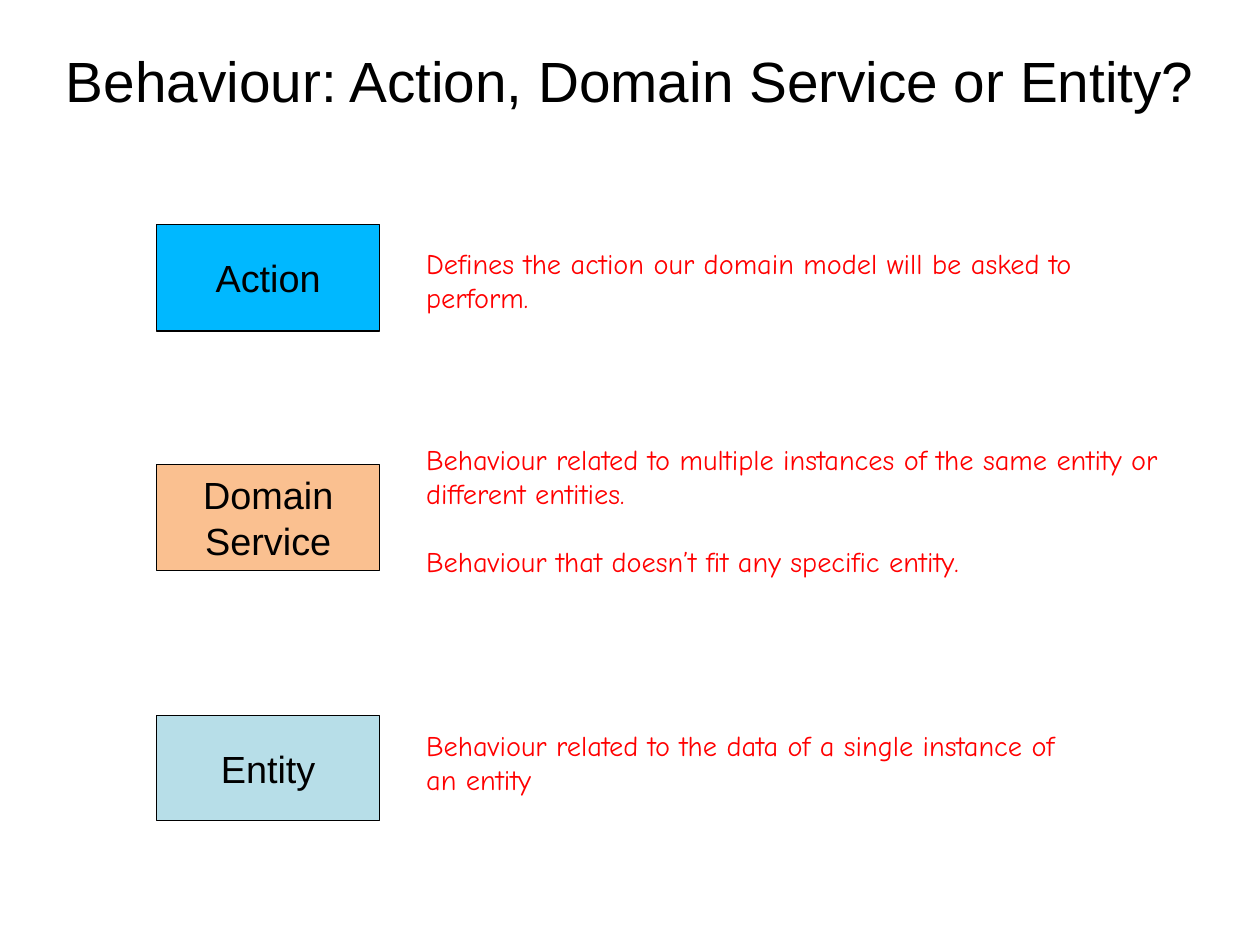
from pptx import Presentation
from pptx.dml.color import RGBColor
from pptx.enum.shapes import MSO_SHAPE
from pptx.enum.text import MSO_ANCHOR, PP_ALIGN
from pptx.util import Inches, Pt

COLOURS = {
    "black": "000000",
    "red": "FF0000",
    "action": "00B8FF",
    "service": "FAC090",
    "entity": "B7DEE8",
}

TITLE_FORMAT = {"name": "Arial", "size": Pt(36)}
CONCEPT_FORMAT = {"name": "Arial", "size": Pt(24)}
NOTE_FORMAT = {"name": "Comic Neue", "size": Pt(18)}

# Slide size in points
SLIDE_WIDTH, SLIDE_HEIGHT = 800, 600.12

CONCEPT_LEFT, CONCEPT_WIDTH = 1.38, 1.97
NOTE_LEFT = 3.66
NOTE_GAP = Pt(21.6)

# Concept, colour, box (top, height), note (top, width, height), paragraphs
CONCEPTS = [
    ("Action", "action", (1.98, 0.94), (2.12, 5.98, 0.71),
     ["Defines the action our domain model will be asked to perform."]),
    ("Domain Service", "service", (4.1, 0.93), (3.85, 6.77, 1.31),
     ["Behaviour related to multiple instances of the same entity or "
      "different entities.",
      "Behaviour that doesn’t fit any specific entity."]),
    ("Entity", "entity", (6.31, 0.93), (6.37, 5.98, 0.71),
     ["Behaviour related to the data of a single instance of an entity"]),
]


def rgb(colour):
    return RGBColor.from_string(COLOURS[colour])


def write(frame, paragraphs, font_format, colour, align, anchor):
    frame.word_wrap = True
    frame.vertical_anchor = anchor
    for index, text in enumerate(paragraphs):
        paragraph = frame.add_paragraph() if index else frame.paragraphs[0]
        paragraph.alignment = align
        if index:
            paragraph.space_before = NOTE_GAP
        run = paragraph.add_run()
        run.text = text
        for attribute, value in font_format.items():
            setattr(run.font, attribute, value)
        run.font.color.rgb = rgb(colour)


def add_title(slide, text):
    title = slide.shapes.add_textbox(
        Inches(0.28), Inches(0.31), Inches(10.55), Inches(0.79))
    write(title.text_frame, [text], TITLE_FORMAT, "black",
          PP_ALIGN.CENTER, MSO_ANCHOR.MIDDLE)


def add_concept(slide, name, colour, extent):
    top, height = extent
    concept = slide.shapes.add_shape(
        MSO_SHAPE.RECTANGLE, Inches(CONCEPT_LEFT), Inches(top),
        Inches(CONCEPT_WIDTH), Inches(height))
    concept.shadow.inherit = False
    concept.fill.solid()
    concept.fill.fore_color.rgb = rgb(colour)
    concept.line.color.rgb = rgb("black")
    concept.line.width = Pt(0.75)
    write(concept.text_frame, [name], CONCEPT_FORMAT, "black",
          PP_ALIGN.CENTER, MSO_ANCHOR.MIDDLE)


def add_note(slide, area, paragraphs):
    top, width, height = area
    note = slide.shapes.add_textbox(
        Inches(NOTE_LEFT), Inches(top), Inches(width), Inches(height))
    write(note.text_frame, paragraphs, NOTE_FORMAT, "red",
          PP_ALIGN.LEFT, MSO_ANCHOR.TOP)


def main():
    deck = Presentation()
    deck.slide_width = Pt(SLIDE_WIDTH)
    deck.slide_height = Pt(SLIDE_HEIGHT)
    slide = deck.slides.add_slide(deck.slide_layouts[6])

    add_title(slide, "Behaviour: Action, Domain Service or Entity?")

    # Each concept with its explanation
    for name, colour, extent, note_area, paragraphs in CONCEPTS:
        add_concept(slide, name, colour, extent)
        add_note(slide, note_area, paragraphs)

    deck.save("out.pptx")


if __name__ == "__main__":
    main()
